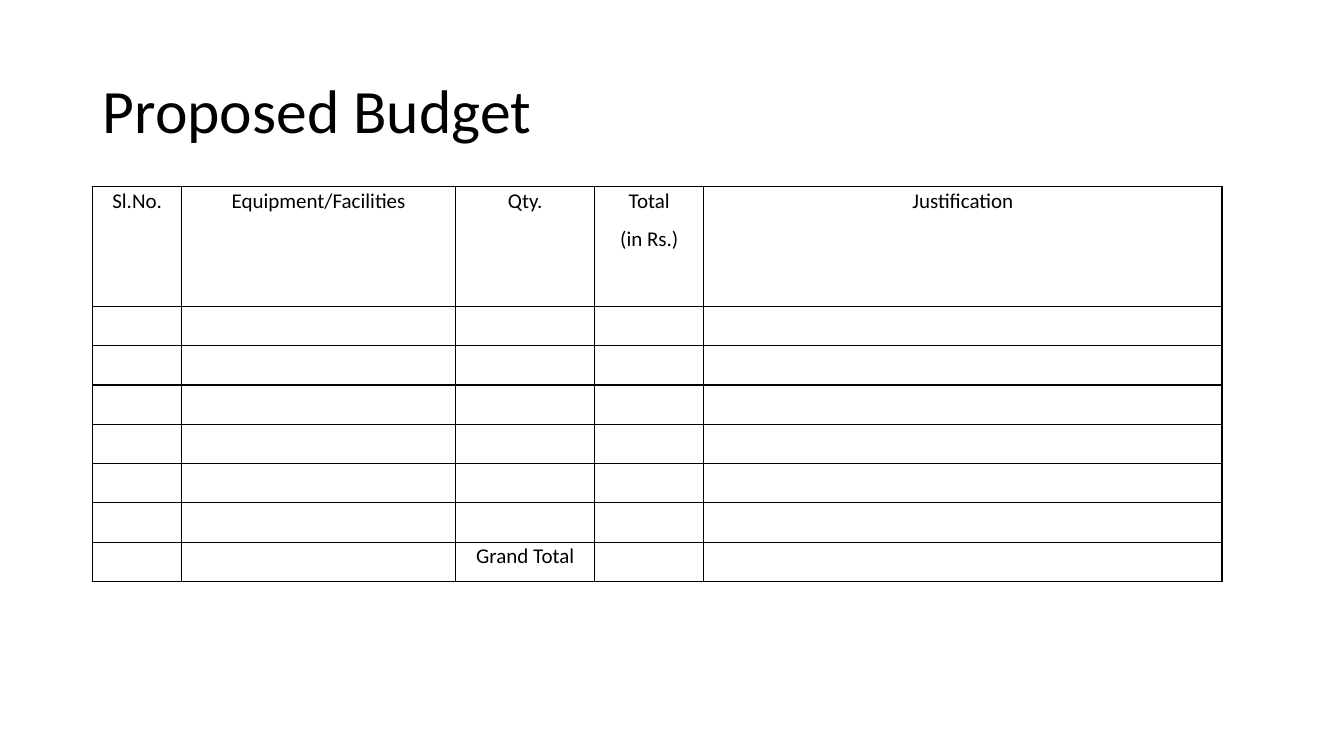
from dataclasses import dataclass

from lxml import etree
from pptx import Presentation
from pptx.dml.color import RGBColor
from pptx.enum.text import MSO_ANCHOR, PP_ALIGN
from pptx.oxml.ns import qn
from pptx.util import Inches, Pt

LEFT = PP_ALIGN.LEFT
CENTER = PP_ALIGN.CENTER
TOP = MSO_ANCHOR.TOP
MIDDLE = MSO_ANCHOR.MIDDLE
TITLE_ONLY = 5


@dataclass
class Theme:
    face: str = "Calibri"
    ink: str = "000000"
    title: int = 44
    body: int = 15
    line: int = 1


class Deck:
    def __init__(self, theme):
        self.theme = theme
        self.file = Presentation()
        self.file.slide_width = Inches(13.33)
        self.file.slide_height = Inches(7.5)
        layout = self.file.slide_layouts[TITLE_ONLY]
        self.slide = self.file.slides.add_slide(layout)

    def style(self, para, size, align, space):
        para.alignment = align
        para.line_spacing = space
        para.font.name = self.theme.face
        para.font.size = Pt(size)
        para.font.color.rgb = RGBColor.from_string(self.theme.ink)

    def title(self, text, box):
        shape = self.slide.shapes.title
        shape.left, shape.top, shape.width, shape.height = map(Inches, box)
        shape.text_frame.text = text
        shape.text_frame.vertical_anchor = MIDDLE
        self.style(shape.text_frame.paragraphs[0], self.theme.title, LEFT, 0.9)

    def border(self, cell):
        props = cell._tc.get_or_add_tcPr()
        for side in ("a:lnL", "a:lnR", "a:lnT", "a:lnB"):
            line = etree.SubElement(props, qn(side), w=str(Pt(self.theme.line)))
            fill = etree.SubElement(line, qn("a:solidFill"))
            etree.SubElement(fill, qn("a:srgbClr"), val=self.theme.ink)

    def cell(self, cell, text):
        cell.margin_left = cell.margin_right = Inches(0.07)
        cell.margin_top = cell.margin_bottom = 0
        cell.vertical_anchor = TOP
        self.border(cell)
        cell.fill.background()
        cell.text = text
        for para in cell.text_frame.paragraphs:
            self.style(para, self.theme.body, CENTER, 1.07)
            para.space_after = Pt(8)

    def table(self, left, top, widths, heights, texts):
        box = map(Inches, (left, top, sum(widths), sum(heights)))
        frame = self.slide.shapes.add_table(len(heights), len(widths), *box)
        table = frame.table
        table.first_row = table.horz_banding = False
        for col, width in zip(table.columns, widths):
            col.width = Inches(width)
        for row, height in zip(table.rows, heights):
            row.height = Inches(height)
        for row, line in zip(table.rows, texts):
            for cell, text in zip(row.cells, line):
                self.cell(cell, text)


def main():
    deck = Deck(Theme())
    deck.title("Proposed Budget", (0.92, 0.4, 11.5, 1.45))
    head = ["Sl.No.", "Equipment/Facilities", "Qty.", "Total\n(in Rs.)", "Justification"]
    blank = [""] * len(head)
    total = ["", "", "Grand Total", "", ""]
    widths = [0.88, 2.72, 1.38, 1.08, 5.14]
    heights = [1.19] + [0.39] * 7
    deck.table(0.92, 1.85, widths, heights, [head] + [blank] * 6 + [total])
    deck.file.save("out.pptx")


if __name__ == "__main__":
    main()
